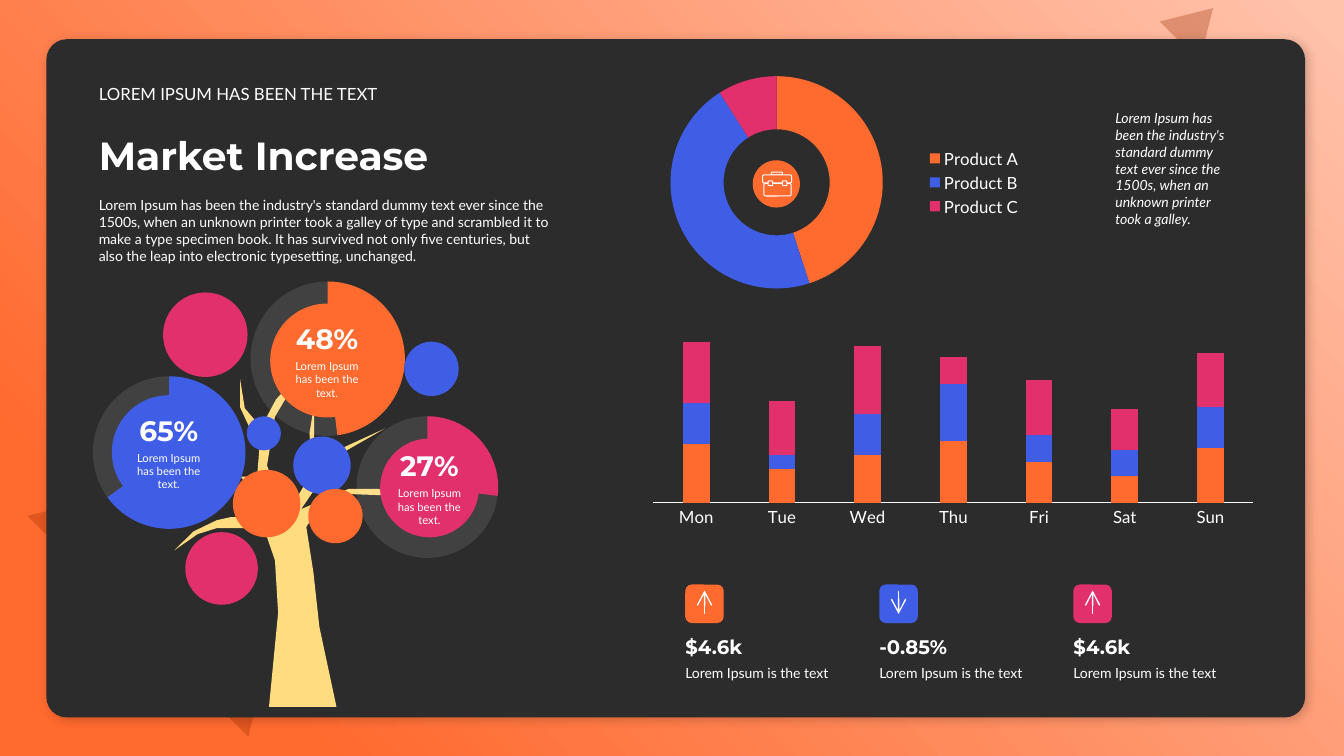
from dataclasses import dataclass

from lxml import etree
from pptx import Presentation
from pptx import util as u
from pptx.chart.data import CategoryChartData
from pptx.dml.color import RGBColor
from pptx.enum import chart as charts, shapes, text
from pptx.oxml import parse_xml
from pptx.oxml.ns import nsdecls, qn


@dataclass(frozen=True)
class Theme:
    orange: str = "FF6A2F"
    blue: str = "405DE6"
    pink: str = "E1306C"
    peach: str = "FFC3AC"
    rust: str = "972B00"
    panel: str = "2C2C2C"
    trunk: str = "FFDC80"
    white: str = "FFFFFF"
    body: str = "Lato"
    head: str = "Montserrat"
    title: int = 28
    percent: int = 20
    figure: int = 14
    label: int = 12
    copy: int = 10
    small: int = 8


T = Theme()
COLOURS = (T.orange, T.blue, T.pink)
DUMMY = "Lorem Ipsum has been the industry's standard dummy text ever since the 1500s, when an unknown printer took a galley"
TEXTS = [
    ((2.24, 4.83, 12.01, 1.96), "t", DUMMY + " of type and scrambled it to make a type specimen book. It has survived not only five centuries, but also the leap into electronic typesetting, unchanged.", T.copy, T.body, False, False),
    ((2.24, 3.18, 12.01, 1.45), "b", "Market Increase", T.title, T.head, True, False),
    ((2.24, 1.98, 12.01, 0.76), "b", "LOREM IPSUM HAS BEEN THE TEXT", T.label, T.body, False, False),
    ((27.86, 2.62, 3.4, 3.25), "ctr", DUMMY + ".", T.copy, T.body, False, True),
]
TRIANGLES = [(1.85, 10.21, 7.87, 6.53), (29.44, 0.03, 1.42, 1.19)]
RINGS = [
    (65, T.blue, (2.08, 9.4, 4.37, 4.01), (2.82, 9.96, 2.87)),
    (48, T.orange, (6.05, 7.01, 4.42, 4.06), (6.81, 7.65, 2.87)),
    (27, T.pink, (8.74, 10.41, 4.06, 3.73), (9.58, 11.05, 2.49)),
]
RING_NOTE = "Lorem Ipsum has been the text."
BUBBLES = [
    (4.67, 13.41, 1.83, T.pink), (5.87, 11.84, 1.7, T.orange), (7.39, 11, 1.45, T.blue),
    (4.11, 7.37, 2.13, T.pink), (7.77, 12.32, 1.37, T.orange), (10.19, 8.61, 1.37, T.blue),
    (6.22, 10.49, 0.86, T.blue),
]
SHARES = [("Product A", 45), ("Product B", 46), ("Product C", 9)]
DAYS = ("Mon", "Tue", "Wed", "Thu", "Fri", "Sat", "Sun")
SALES = [
    (86, 50, 70, 90, 60, 40, 80),
    (60, 20, 60, 84, 40, 38, 60),
    (90, 80, 100, 40, 80, 60, 80),
]
CASE_PARTS = [(19.44, 4.34, 0.28, 0.07), (19.25, 4.62, 0.69, 0.32), (19.22, 4.41, 0.73, 0.2)]
CLASPS = [(left, 4.56, 0.11, 0.12) for left in (19.36, 19.72)]
TILES = [("$4.6k", True), ("-0.85%", False), ("$4.6k", True)]
TILE_NOTE = "Lorem Ipsum is the text"
TILE_LEFT, TILE_STEP, TILE_TOP, TILE_SIZE = 17.27, 4.89, 14.73, 0.97
TREE = [
    (7.57, 9.42), (6.93, 10.5), (6.73, 11.73), (7.21, 13), (7.87, 11.89), (7.8, 10.92),
    (7.92, 10.19), (7.92, 11.1), (8.43, 11.38), (9.7, 10.8), (8.51, 11.48), (7.59, 12.83),
    (8.79, 12.32), (9.53, 12.32), (10.19, 12.5), (8.79, 12.45), (7.9, 13), (7.72, 13.28),
    (7.9, 14.43), (8.05, 15.8), (8.48, 17.81), (6.78, 17.81), (7.01, 15.44), (6.93, 14.12),
    (6.73, 13.54), (6.27, 13.31), (5.46, 13.31), (4.98, 13.46), (4.39, 13.87), (4.88, 13.39),
    (5.46, 13.11), (5.82, 13.03), (6.78, 13.06), (6.07, 12.01), (6.48, 12.01), (6.55, 11.15),
    (6.3, 10.8), (6.05, 10.26), (6.05, 9.55), (6.17, 10.29), (6.58, 10.77), (6.96, 10.06),
]

deck = Presentation()
deck.slide_width, deck.slide_height = u.Cm(33.87), u.Cm(19.05)
page = deck.slides.add_slide(deck.slide_layouts[6])
ANCHORS = {"t": text.MSO_ANCHOR.TOP, "ctr": text.MSO_ANCHOR.MIDDLE, "b": text.MSO_ANCHOR.BOTTOM}
SHAPE = shapes.MSO_SHAPE


def cm(values):
    return [u.Cm(value) for value in values]


def paint(fill, colour, alpha=None):
    fill.solid()
    fill.fore_color.rgb = RGBColor.from_string(colour)
    if alpha:
        node = fill._xPr.find(qn("a:solidFill"))[0]
        etree.SubElement(node, qn("a:alpha")).set("val", str(alpha * 1000))


def finish(shape, colour, alpha=None):
    shape.shadow.inherit = False
    shape.line.fill.background()
    paint(shape.fill, colour, alpha)
    return shape


def add_shape(kind, place, colour, alpha=None):
    return finish(page.shapes.add_shape(kind, *cm(place)), colour, alpha)


def style(font, size, name=T.body, bold=False, italic=False):
    font.size, font.name, font.bold, font.italic = u.Pt(size), name, bold, italic
    font.color.rgb = RGBColor.from_string(T.white)


def add_text(place, anchor, words, size, name, bold=False, italic=False, side=0.25):
    frame = page.shapes.add_textbox(*cm(place)).text_frame
    frame.word_wrap = True
    frame.vertical_anchor = ANCHORS[anchor]
    frame.margin_left = frame.margin_right = u.Cm(side)
    para = frame.paragraphs[0]
    para.text = words
    style(para.font, size, name, bold, italic)


def add_chart(kind, place, categories, series, size):
    data = CategoryChartData()
    data.categories = categories
    for number, values in enumerate(series, 1):
        data.add_series(f"Series {number}", values)
    chart = page.shapes.add_chart(kind, *cm(place), data).chart
    chart.has_title = chart.has_legend = False
    style(chart.font, size)
    return chart


def add_doughnut(place, categories, values, fills, hole):
    chart = add_chart(charts.XL_CHART_TYPE.DOUGHNUT, place, categories, [values], T.copy)
    plot = chart.plots[0]
    plot.vary_by_categories = True
    for index, (colour, alpha) in enumerate(fills):
        point = plot.series[0].points[index].format
        paint(point.fill, colour, alpha)
        point.line.fill.background()
    plot._element.find(qn("c:holeSize")).set("val", str(hole))
    return chart


def fill_plot_area(chart):
    area = chart._chartSpace.chart.plotArea
    for old in area.findall(qn("c:layout")):
        area.remove(old)
    parts = "".join(f'<c:{key} val="{value}"/>' for key, value in (
        ("layoutTarget", "inner"), ("xMode", "edge"), ("yMode", "edge"),
        ("x", 0.06), ("y", 0.02), ("w", 0.88), ("h", 0.96)))
    area.insert(0, parse_xml(f'<c:layout {nsdecls("c")}><c:manualLayout>{parts}</c:manualLayout></c:layout>'))


def add_tree():
    points = [cm(point) for point in TREE]
    outline = page.shapes.build_freeform(*points[0], scale=1.0)
    outline.add_line_segments(points[1:], close=True)
    finish(outline.convert_to_shape(), T.trunk)


def add_backdrop():
    back = add_shape(SHAPE.RECTANGLE, (0, 0, 33.87, 19.05), T.orange)
    back.fill.gradient()
    for stop, colour, position in zip(back.fill.gradient_stops, (T.peach, T.orange), (0, 0.85)):
        stop.color.rgb = RGBColor.from_string(colour)
        stop.position = position
    line = back._element.spPr.find(qn("a:gradFill")).find(qn("a:lin"))
    line.getparent().replace(line, parse_xml(
        f'<a:path {nsdecls("a")} path="circle"><a:fillToRect l="100000" b="100000"/></a:path>'))
    for place in TRIANGLES:
        add_shape(SHAPE.ISOSCELES_TRIANGLE, place, T.rust, 30).rotation = 45
    panel = add_shape(SHAPE.ROUNDED_RECTANGLE, (1.17, 0.99, 31.72, 17.09), T.panel)
    panel.adjustments[0] = 0.03
    effects = panel._element.spPr.find(qn("a:effectLst"))
    effects.append(parse_xml(
        f'<a:outerShdw {nsdecls("a")} blurRad="{u.Pt(8)}" dist="{u.Pt(3)}" dir="2700000" algn="tl" rotWithShape="0">'
        '<a:srgbClr val="000000"><a:alpha val="20000"/></a:srgbClr></a:outerShdw>'))


def add_ring_label(share, colour, left, top, size):
    frame = add_shape(SHAPE.OVAL, (left, top, size, size), colour).text_frame
    frame.word_wrap = True
    frame.vertical_anchor = text.MSO_ANCHOR.MIDDLE
    frame.margin_left = frame.margin_right = 0
    frame.text = f"{share}%\n{RING_NOTE}"
    for para, points, name in zip(frame.paragraphs, (T.percent, T.small), (T.head, T.body)):
        para.alignment = text.PP_ALIGN.CENTER
        para.space_before = u.Pt(3)
        style(para.font, points, name, name == T.head)


def add_tile(index, figure, rising):
    left = TILE_LEFT + index * TILE_STEP
    add_shape(SHAPE.ROUNDED_RECTANGLE, (left, TILE_TOP, TILE_SIZE, TILE_SIZE), COLOURS[index])
    middle = left + TILE_SIZE / 2
    begin, end = (15.47, 14.88) if rising else (14.88, 15.47)
    arrow = page.shapes.add_connector(shapes.MSO_CONNECTOR.STRAIGHT, *cm((middle, begin, middle, end)))
    arrow.line.width = u.Pt(1)
    paint(arrow.line.fill, T.white)
    etree.SubElement(arrow.line._get_or_add_ln(), qn("a:tailEnd"), type="arrow", w="lg", len="lg")
    etree.SubElement(arrow._element.spPr, qn("a:effectLst"))
    add_text((left, 16.61, 3.89, 0.69), "t", TILE_NOTE, T.copy, T.body, side=0)
    add_text((left, 15.85, 3.89, 0.86), "b", figure, T.figure, T.head, True, side=0)


add_backdrop()
for entry in TEXTS:
    add_text(*entry)
add_tree()
for share, colour, place, _ in RINGS:
    fill_plot_area(add_doughnut(place, ("1", "2"), (share, 100 - share), ((colour, None), (T.white, 10)), 80))
for left, top, size, colour in BUBBLES:
    add_shape(SHAPE.OVAL, (left, top, size, size), colour)
for share, colour, _, place in RINGS:
    add_ring_label(share, colour, *place)

names, values = zip(*SHARES)
products = add_doughnut((15.85, 1.57, 10.16, 6.05), names, values, [(c, None) for c in COLOURS], 50)
products.has_legend = True
products.legend.position = charts.XL_LEGEND_POSITION.RIGHT
products.legend.include_in_layout = False
style(products.legend.font, T.label)
add_shape(SHAPE.OVAL, (18.97, 4.04, 1.19, 1.19), T.orange)
for place in CASE_PARTS + CLASPS:
    part = add_shape(SHAPE.ROUNDED_RECTANGLE, place, T.orange)
    paint(part.line.fill, T.white)
    part.line.width = u.Pt(0.75)

week = add_chart(charts.XL_CHART_TYPE.COLUMN_STACKED, (16.15, 7.75, 15.75, 5.64), DAYS, SALES, T.label)
week.plots[0].gap_width, week.plots[0].overlap = 220, 100
for series, colour in zip(week.plots[0].series, COLOURS):
    paint(series.format.fill, colour)
week.value_axis.visible = week.value_axis.has_major_gridlines = False
week.value_axis.minimum_scale, week.value_axis.maximum_scale = 0, 280
week.category_axis.major_tick_mark = charts.XL_TICK_MARK.NONE
paint(week.category_axis.format.line.fill, T.white)
for index, tile in enumerate(TILES):
    add_tile(index, *tile)
deck.save("out.pptx")
